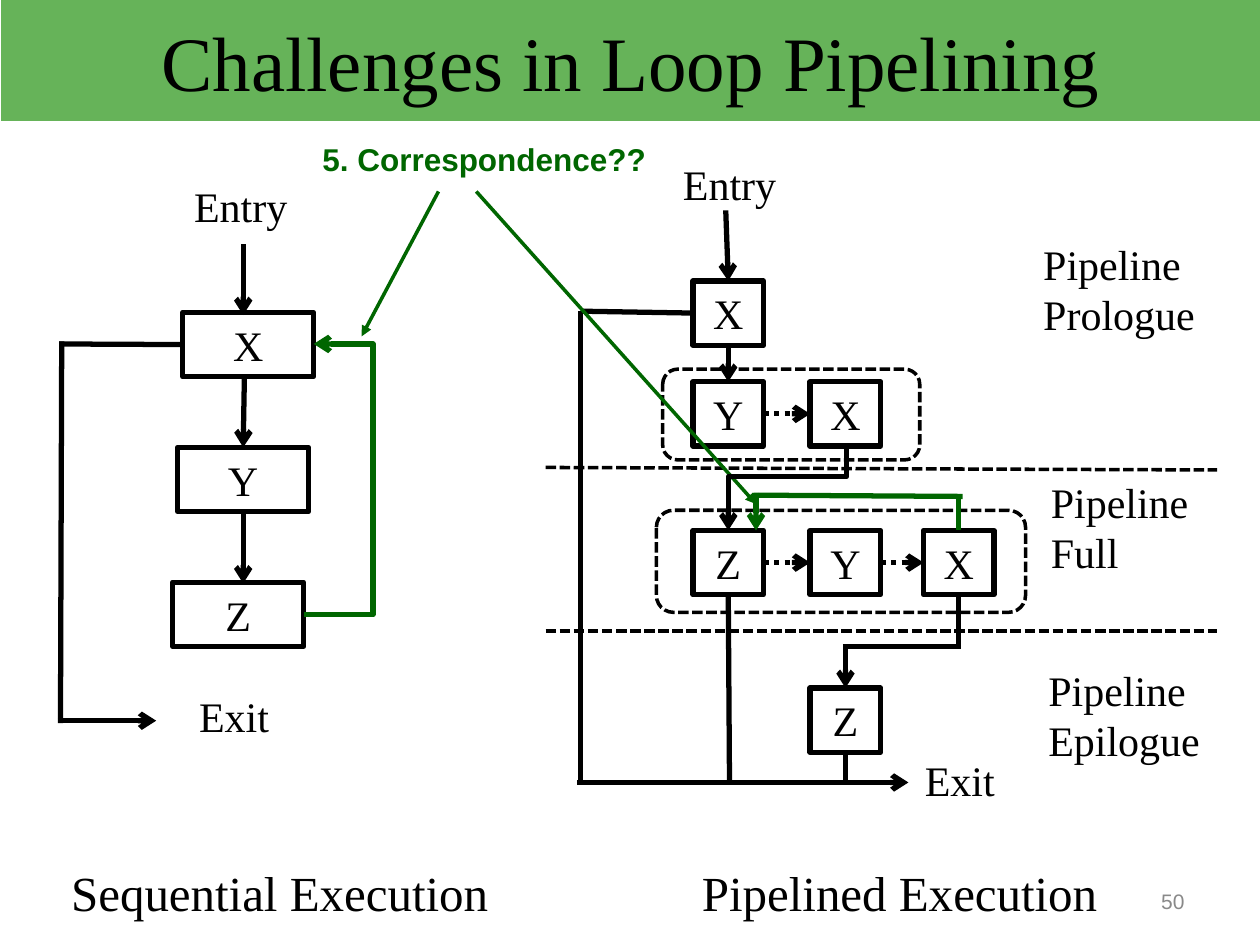
from lxml.etree import SubElement
from pptx import Presentation
from pptx.dml.color import RGBColor
from pptx.enum.dml import MSO_LINE
from pptx.enum.shapes import MSO_CONNECTOR, MSO_SHAPE
from pptx.enum.text import MSO_ANCHOR, PP_ALIGN
from pptx.oxml.ns import qn
from pptx.util import Inches, Pt

HUE = {"band": "66B359", "ink": "000000", "loop": "006600", "page": "898989"}
TOP, LEFT, LOW, RIGHT = range(4)
DASH, DOT = MSO_LINE.SQUARE_DOT, MSO_LINE.ROUND_DOT
MID, END, START = PP_ALIGN.CENTER, PP_ALIGN.RIGHT, PP_ALIGN.LEFT
SMALL, WIDE = (0.05, 0.02), (0.1, 0.05)

# Pipelined side: box = name: (column, row); the last letter is the label
COLS = [5.5, 6.43, 7.33]
ROWS = [2.23, 3.03, 4.21, 5.46]
PIPE = {
    "pro X": (0, 0), "pro Y": (0, 1), "next X": (1, 1),
    "full Z": (0, 2), "full Y": (1, 2), "full X": (2, 2), "epi Z": (1, 3),
}
# Sequential side: equal steps down, each box a little further left
STEPS = ["seq X", "seq Y", "seq Z"]

FRAMES = [(5.26, 2.93, 2.04, 0.72), (5.21, 4.05, 2.93, 0.81)]

TIMES = {"size": Pt(24), "name": "Times New Roman"}
FOOT = TIMES | {"size": Pt(28)}
NOTE = {"size": Pt(18), "name": "Arial", "bold": True}
PAGE = {"size": Pt(12), "name": "Arial"}

# words, place, font, colour, align, anchor, insets
PLAIN = (TIMES, "ink", START, MSO_ANCHOR.TOP, SMALL)
CAPTION = (FOOT, "ink", MID, MSO_ANCHOR.BOTTOM, WIDE)
TEXTS = [
    ("Entry", (1.49, 1.41, 0.96, 0.45), *PLAIN),
    ("Exit", (1.53, 5.46, 1.62, 0.45), *PLAIN),
    ("Entry", (5.37, 1.24, 1.25, 0.45), *PLAIN),
    ("Exit", (7.29, 5.97, 0.88, 0.45), *PLAIN),
    ("Pipeline Prologue", (8.23, 1.87, 1.36, 0.85), *PLAIN),
    ("Pipeline Full", (8.29, 3.76, 1.36, 0.85), *PLAIN),
    ("Pipeline Epilogue", (8.27, 5.25, 1.36, 0.85), *PLAIN),
    ("Sequential Execution", (0.07, 6.79, 4.3, 0.57), *CAPTION),
    ("Pipelined Execution", (5.17, 6.79, 3.94, 0.57), *CAPTION),
    ("5. Correspondence??", (2.46, 1.06, 2.79, 0.4),
     NOTE, "loop", START, MSO_ANCHOR.TOP, WIDE),
    ("50", (7.17, 6.95, 2.33, 0.4), PAGE, "page", END, MSO_ANCHOR.MIDDLE, WIDE),
]

# An end is a point (x, y) or a box side (name, side)
ARROW = {"head": "arrow"}
GREEN = {"hue": "loop"}
DOTTED = ARROW | {"dash": DOT}
RULE = {"size": 2, "dash": DASH}
POINTER = GREEN | {"size": 2, "head": "triangle"}
LINES = [
    # sequential
    ((1.93, 1.94), (1.93, 2.5), ARROW),
    ((1.94, 2.98), ("seq Y", TOP), ARROW),
    (("seq Y", LOW), (1.93, 4.63), ARROW),
    ((0.47, 2.73), ("seq X", LEFT), {}),
    ((0.49, 2.71), (0.48, 5.74), {}),
    ((0.46, 5.72), (1.24, 5.72), ARROW),
    # stage borders
    ((4.33, 3.71), (9.66, 3.73), RULE),
    ((4.33, 5.01), (9.66, 5.01), RULE),
    # pipelined
    ((5.76, 1.67), ("pro X", TOP), ARROW),
    (("pro X", LOW), ("pro Y", TOP), ARROW),
    (("pro Y", RIGHT), ("next X", LEFT), DOTTED),
    (("full Z", RIGHT), ("full Y", LEFT), DOTTED),
    (("full Y", RIGHT), ("full X", LEFT), DOTTED),
    ((4.61, 2.47), ("pro X", LEFT), {}),
    ((4.61, 2.47), (4.61, 6.2), {}),
    ((4.58, 6.21), (6.97, 6.21), {}),
    (("full Z", LOW), (5.79, 6.22), {}),
    (("epi Z", LOW), (6.71, 6.21), {}),
    ((6.94, 6.21), (7.21, 6.21), ARROW),
    (("full X", LOW), (7.61, 5.14), {}),
    ((6.69, 5.13), (7.63, 5.13), {}),
    ((6.71, 5.13), ("epi Z", TOP), ARROW),
    # loop back edge and pointers
    ((6, 3.91), (6, 4.21), ARROW | GREEN),
    ((5.98, 3.93), (7.64, 3.94), GREEN),
    ((7.61, 3.92), ("full X", TOP), GREEN),
    ((3.48, 1.52), (2.87, 2.67), POINTER),
    ((3.78, 1.52), (6, 4), POINTER),
]

deck = Presentation()
deck.slide_width, deck.slide_height = Inches(10), Inches(7.5)
shapes = deck.slides.add_slide(deck.slide_layouts[6]).shapes
boxes = {}


def tint(name):
    return RGBColor.from_string(HUE[name])


def write(shape, words, font, hue, align, anchor, pad):
    frame = shape.text_frame
    x, y = map(Inches, pad)
    form = {"word_wrap": True, "vertical_anchor": anchor, "margin_left": x,
            "margin_right": x, "margin_top": y, "margin_bottom": y}
    for key, val in form.items():
        setattr(frame, key, val)
    para = frame.paragraphs[0]
    para.alignment = align
    run = para.add_run()
    run.text = words
    for key, val in font.items():
        setattr(run.font, key, val)
    run.font.color.rgb = tint(hue)


def stroke(line, hue="ink", size=3, dash=None):
    line.color.rgb = tint(hue)
    line.width = Pt(size)
    if dash:
        line.dash_style = dash


def draw(kind, place):
    """Add a preset shape with no fill and no shadow."""
    shape = shapes.add_shape(kind, *map(Inches, place))
    shape.shadow.inherit = False
    shape.fill.background()
    return shape


def node(name, place):
    boxes[name] = box = draw(MSO_SHAPE.RECTANGLE, place)
    stroke(box.line)
    write(box, name[-1], TIMES, "ink", MID, MSO_ANCHOR.MIDDLE, SMALL)


def link(start, end, head=None, kind=MSO_CONNECTOR.STRAIGHT, **look):
    """Add a connector, joined to a box wherever an end names one."""
    spots = [(0, 0) if isinstance(e[0], str) else e for e in (start, end)]
    wire = shapes.add_connector(kind, *map(Inches, spots[0] + spots[1]))
    for tie, (box, side) in ((wire.begin_connect, start), (wire.end_connect, end)):
        if isinstance(box, str):
            tie(boxes[box], side)
    stroke(wire.line, **look)
    props = wire._element.spPr
    if head:
        SubElement(wire.line._get_or_add_ln(), qn("a:tailEnd"), type=head)
    SubElement(props, qn("a:effectLst"))
    return wire


def bend(wire, share):
    """Put the middle leg of an elbow at a share of its width."""
    stops = wire._element.spPr.prstGeom.get_or_add_avLst()
    SubElement(stops, qn("a:gd"), name="adj1", fmla=f"val {round(share * 100000)}")


band = draw(MSO_SHAPE.RECTANGLE, (0.01, 0, 10, 0.96))
band.fill.solid()
band.fill.fore_color.rgb = tint("band")
band.line.fill.background()
write(band, "Challenges in Loop Pipelining", TIMES | {"size": Pt(44)}, "ink",
      MID, MSO_ANCHOR.MIDDLE, WIDE)

for name, (col, row) in PIPE.items():
    node(name, (COLS[col], ROWS[row], 0.56, 0.51))
for i, name in enumerate(STEPS):
    node(name, (1.45 - 0.04 * i, 2.48 + 1.07 * i, 1.04, 0.51))
for place in FRAMES:
    stroke(draw(MSO_SHAPE.ROUNDED_RECTANGLE, place).line, size=2, dash=DASH)
for start, end, look in LINES:
    link(start, end, **look)

back = link((2.41, 4.88), (2.49, 2.73), kind=MSO_CONNECTOR.ELBOW, **ARROW | GREEN)
bend(back, 6.88)

# The elbow from next X down to full Z is a flat one turned a quarter
down = link((5.91, 3.4), (6.59, 4.34), kind=MSO_CONNECTOR.ELBOW, **ARROW)
down._element.spPr.find(qn("a:xfrm")).set("rot", str(90 * 60000))
bend(down, 0.37)

for words, place, *form in TEXTS:
    write(shapes.add_textbox(*map(Inches, place)), words, *form)

deck.save("out.pptx")
